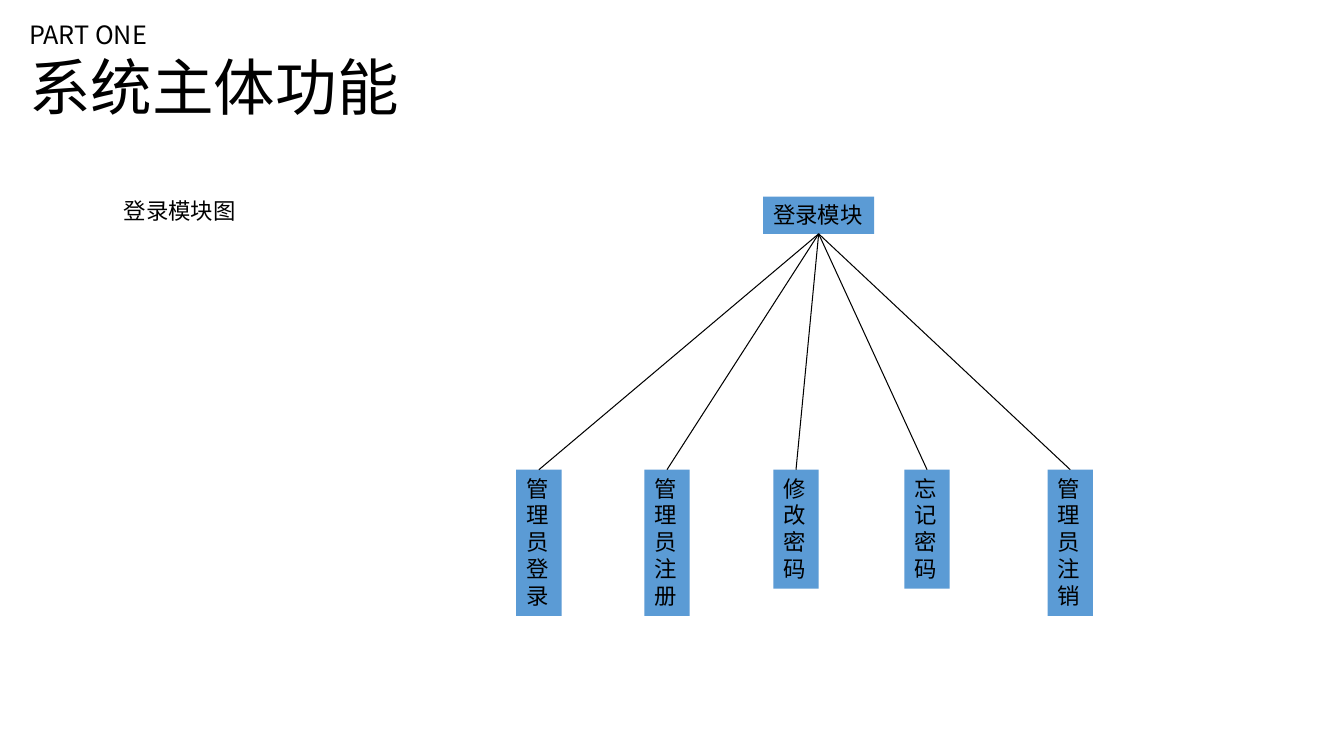
import pptx
import pptx.util
import pptx.dml.color
import pptx.enum.shapes
import pptx.enum.text
import lxml.etree
from pptx.util import Inches, Pt

HEADINGS = [
    ("PART ONE", 18, 0.06, 0),
    ("系统主体功能", 44, 0.06, 0),
    ("登录模块图", 16, 1.0, 53),
]
ROOT = ("登录模块", 7.57, 1.95, 1.1, 0.37)
LEAVES = [
    ("管理员登录", 5.12),
    ("管理员注册", 6.39),
    ("修改密码", 7.67),
    ("忘记密码", 8.97),
    ("管理员注销", 10.39),
]
LEAF_TOP, LEAF_WIDTH = 4.66, 0.45
LINE_HEIGHT, PADDING = 0.27, 0.1
BLACK, BLUE = "000000", "5B9BD5"


def color(value):
    return pptx.dml.color.RGBColor.from_string(value)


def style(para, size, font):
    para.font.size = Pt(size)
    para.font.name = font
    para.font.color.rgb = color(BLACK)
    para.alignment = pptx.enum.text.PP_ALIGN.LEFT


def add_module(page, label, left, top, width, height):
    box = page.shapes.add_shape(
        pptx.enum.shapes.MSO_SHAPE.RECTANGLE,
        Inches(left), Inches(top), Inches(width), Inches(height))
    box.shadow.inherit = False
    box.fill.solid()
    box.fill.fore_color.rgb = color(BLUE)
    box.line.fill.background()
    frame = box.text_frame
    frame.word_wrap = True
    frame.vertical_anchor = pptx.enum.text.MSO_ANCHOR.TOP
    frame.text = label
    style(frame.paragraphs[0], 16, "Arial")
    return box


def add_link(page, parent, child):
    link = page.shapes.add_connector(
        pptx.enum.shapes.MSO_CONNECTOR.STRAIGHT, 0, 0, 0, 0)
    link.begin_connect(parent, 2)
    link.end_connect(child, 0)
    link.line.color.rgb = color(BLACK)
    link.line.width = Pt(0.75)
    properties = link._element.spPr
    lxml.etree.SubElement(properties, pptx.oxml.ns.qn("a:effectLst"))


def add_headings(page):
    box = page.shapes.add_textbox(
        Inches(0.13), Inches(0.14), Inches(4.1), Inches(2.42))
    frame = box.text_frame
    frame.word_wrap = True
    frame.text = "\n".join(heading[0] for heading in HEADINGS)
    for para, (_, size, indent, gap) in zip(frame.paragraphs, HEADINGS):
        style(para, size, "Noto Sans CJK SC")
        para.space_before = Pt(gap)
        properties = para._p.get_or_add_pPr()
        properties.set("marL", str(Inches(indent)))
        properties.set("indent", "0")


def main():
    deck = pptx.Presentation()
    deck.slide_width, deck.slide_height = Inches(13.33), Inches(7.5)
    page = deck.slides.add_slide(deck.slide_layouts[6])
    add_headings(page)
    root = add_module(page, *ROOT)
    for label, left in LEAVES:
        height = len(label) * LINE_HEIGHT + PADDING
        leaf = add_module(page, label, left, LEAF_TOP, LEAF_WIDTH, height)
        add_link(page, root, leaf)
    deck.save("out.pptx")


if __name__ == "__main__":
    main()
